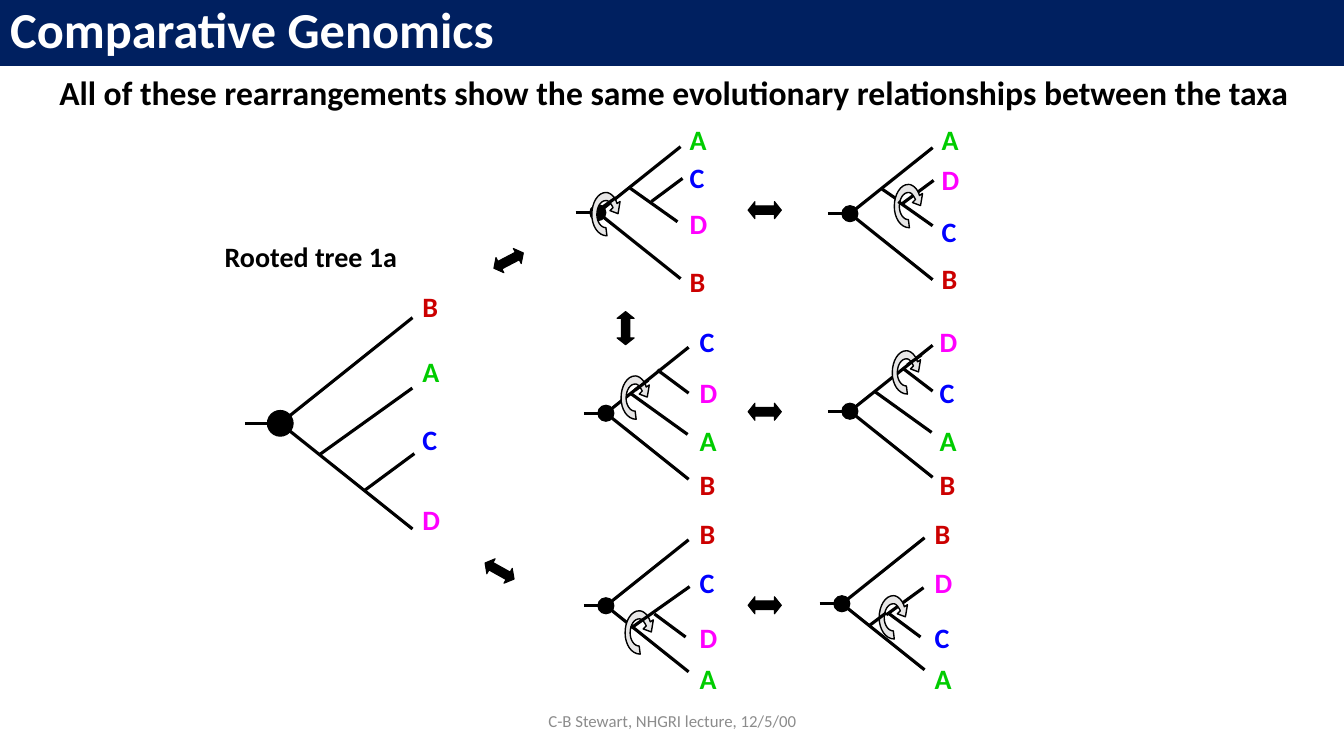
from dataclasses import dataclass

from lxml import etree
from pptx import Presentation
from pptx.dml.color import RGBColor
from pptx.enum import shapes, text
from pptx.oxml.ns import qn
from pptx.util import Inches, Pt

FONT = "Calibri"
BLACK = RGBColor(0x00, 0x00, 0x00)
WHITE = RGBColor(0xFF, 0xFF, 0xFF)
NAVY = RGBColor(0x00, 0x20, 0x60)
FOOTER_GRAY = RGBColor(0x8C, 0x8C, 0x8C)
ARROW_GRAY = RGBColor(0xE7, 0xE6, 0xE6)
TAXON_COLORS = {
    "A": RGBColor(0x00, 0xCC, 0x00),
    "B": RGBColor(0xCC, 0x00, 0x00),
    "C": RGBColor(0x00, 0x00, 0xFF),
    "D": RGBColor(0xFF, 0x00, 0xFF),
}

# Circular arrow around its centre: a pair is a line end, three pairs are a Bézier.
ROTATION_START = (0.07, -0.07)
ROTATION_PATH = [
    [(0.05, -0.11), (0.03, -0.14), (0, -0.14)],
    [(-0.05, -0.14), (-0.09, -0.08), (-0.09, 0)],
    [(-0.09, 0.07), (-0.05, 0.13), (0, 0.13)],
    [(0.01, 0.21)],
    [(-0.08, 0.21), (-0.14, 0.11), (-0.14, 0)],
    [(-0.14, -0.12), (-0.08, -0.22), (0, -0.22)],
    [(0.04, -0.22), (0.09, -0.18), (0.11, -0.11)],
    [(0.14, -0.13)],
    [(0.12, -0.01)],
    [(0.04, -0.04)],
]
CURVE_STEPS = 8


@dataclass
class Tree:
    root: tuple
    label_left: float
    label_tops: dict
    branches: list
    rotation: tuple = None
    front_branches: tuple = ()
    scale: float = 1


TREES = [
    Tree((2.78, 4.2), 4.09, {"B": 2.82, "A": 3.47, "C": 4.14, "D": 4.94},
         [(3.17, 4.51, 4.09, 3.85), (3.61, 4.87, 4.11, 4.5)], scale=1.6),
    Tree((6.01, 6.01), 6.84, {"B": 5.08, "C": 5.56, "D": 6.11, "A": 6.51},
         [], (6.34, 6.28),
         ((6.26, 6.23, 6.84, 5.82), (6.49, 6.09, 6.8, 6.32))),
    Tree((6.01, 4.1), 6.84, {"C": 3.17, "D": 3.68, "A": 4.15, "B": 4.59},
         [(6.25, 3.9, 6.82, 4.31), (6.52, 3.67, 6.83, 3.9)], (6.3, 3.95),
         ((6.3, 3.87, 6.43, 3.77),)),
    Tree((8.43, 4.08), 9.22, {"D": 3.17, "C": 3.68, "A": 4.15, "B": 4.59},
         [(8.67, 3.88, 9.24, 4.29), (8.95, 3.65, 9.25, 3.88)], (8.99, 3.7),
         ((9, 3.62, 9.14, 3.52),)),
    Tree((5.93, 2.11), 6.74, {"A": 1.17, "C": 1.54, "D": 2, "B": 2.57},
         [(6.24, 1.86, 6.72, 2.2), (6.46, 2, 6.77, 1.77)], (6.01, 2.13),
         ((5.97, 2.06, 6.11, 1.96),)),
    Tree((8.43, 2.12), 9.24, {"A": 1.17, "D": 1.56, "C": 2.08, "B": 2.55},
         [(8.95, 2.02, 9.26, 1.79), (8.74, 1.87, 8.9, 1.98)], (9.01, 2.05),
         ((8.91, 2, 9.25, 2.24),)),
    Tree((8.35, 5.99), 9.17, {"B": 5.08, "D": 5.56, "C": 6.11, "A": 6.51},
         [(8.79, 6.1, 9.16, 5.83), (8.82, 6.09, 9.13, 6.32)], (8.86, 6.13),
         ((8.63, 6.2, 8.79, 6.08),)),
]

# Left, top, rotation in degrees
DOUBLE_ARROWS = [
    (7.42, 2, 0), (7.42, 4, 0), (7.42, 5.92, 0),
    (4.79, 5.58, 29.1), (4.88, 2.5, 332.4), (6.04, 3.17, 270),
]


def format_shape(sp, fill=None, line=BLACK, width=0.75):
    sp.shadow.inherit = False
    if fill is None:
        sp.fill.background()
    else:
        sp.fill.solid()
        sp.fill.fore_color.rgb = fill
    sp.line.color.rgb = line
    sp.line.width = Pt(width)


def add_run(p, words, size, color, bold=True):
    r = p.add_run()
    r.text = words
    r.font.name = FONT
    r.font.size = Pt(size)
    r.font.bold = bold
    r.font.color.rgb = color


def add_text(parent, words, box, size, color=BLACK, bold=True, wrap=True,
             align=text.PP_ALIGN.LEFT, anchor=text.MSO_ANCHOR.TOP):
    tf = parent.add_textbox(*map(Inches, box)).text_frame
    tf.word_wrap = wrap
    tf.vertical_anchor = anchor
    p = tf.paragraphs[0]
    p.alignment = align
    add_run(p, words, size, color, bold)


def add_line(parent, x1, y1, x2, y2):
    line = parent.add_connector(shapes.MSO_CONNECTOR.STRAIGHT,
                                *map(Inches, (x1, y1, x2, y2)))
    line.line.color.rgb = BLACK
    line.line.width = Pt(2.25)
    etree.SubElement(line._element.spPr, qn("a:effectLst"))


def add_outline(parent, points, close):
    points = [(Inches(x), Inches(y)) for x, y in points]
    builder = parent.build_freeform(*points[0])
    builder.add_line_segments(points[1:], close=close)
    return builder.convert_to_shape()


def bezier(p0, p1, p2, p3):
    """Return points along a cubic curve, without its start."""
    steps = [i / CURVE_STEPS for i in range(1, CURVE_STEPS + 1)]
    return [tuple((1 - t) ** 3 * a + 3 * (1 - t) ** 2 * t * b
                  + 3 * (1 - t) * t ** 2 * c + t ** 3 * d
                  for a, b, c, d in zip(p0, p1, p2, p3)) for t in steps]


def add_rotation_arrow(parent, cx, cy):
    points = [ROTATION_START]
    for segment in ROTATION_PATH:
        points += bezier(points[-1], *segment) if len(segment) == 3 else segment
    sp = add_outline(parent, [(cx + x, cy + y) for x, y in points], True)
    format_shape(sp, ARROW_GRAY, width=1)


def add_tree(slide, tree):
    parent = slide.shapes.add_group_shape().shapes
    x, y = tree.root
    k = tree.scale
    tip_x, rise = x + 0.82 * k, 0.655 * k
    fork = add_outline(parent, [(tip_x, y - rise), (x, y), (tip_x, y + rise)], False)
    format_shape(fork, width=2.25)
    add_line(parent, x - 0.22 * k, y, x - 0.05 * k, y)
    dot = 0.16 * k
    sp = parent.add_shape(shapes.MSO_SHAPE.OVAL, Inches(x - dot / 2),
                          Inches(y - dot / 2), Inches(dot), Inches(dot))
    format_shape(sp, BLACK)
    for branch in tree.branches:
        add_line(parent, *branch)
    if tree.rotation:
        add_rotation_arrow(parent, *tree.rotation)
    for branch in tree.front_branches:
        add_line(parent, *branch)
    for taxon, top in tree.label_tops.items():
        add_text(parent, taxon, (tree.label_left, top, 0.38, 0.44), 20,
                 TAXON_COLORS[taxon], wrap=False)


def add_double_arrow(slide, left, top, angle):
    sp = slide.shapes.add_shape(shapes.MSO_SHAPE.LEFT_RIGHT_ARROW,
                                *map(Inches, (left, top, 0.33, 0.17)))
    sp.adjustments[0], sp.adjustments[1] = 0.5, 0.4
    sp.rotation = angle
    format_shape(sp, BLACK)


def set_title(slide, words):
    title = slide.shapes.title
    title.left, title.top, title.width, title.height = map(
        Inches, (0, 0, 13.33, 0.64))
    title.fill.solid()
    title.fill.fore_color.rgb = NAVY
    title.line.color.rgb = NAVY
    title.line.width = Pt(2.25)
    tf = title.text_frame
    tf.auto_size = text.MSO_AUTO_SIZE.NONE
    tf.vertical_anchor = text.MSO_ANCHOR.MIDDLE
    p = tf.paragraphs[0]
    p.alignment = text.PP_ALIGN.LEFT
    p.line_spacing = 0.9
    add_run(p, words, 36, WHITE)


def main():
    prs = Presentation()
    prs.slide_width, prs.slide_height = Inches(13.33), Inches(7.5)
    slide = prs.slides.add_slide(prs.slide_layouts[5])
    set_title(slide, "Comparative Genomics")
    add_text(slide.shapes, "All of these rearrangements show the same evolutionary "
             "relationships between the taxa", (0.39, 0.66, 12.59, 0.5), 24,
             align=text.PP_ALIGN.CENTER)
    add_text(slide.shapes, "Rooted tree 1a", (2.13, 2.33, 2.22, 0.43), 20)
    for tree in TREES:
        add_tree(slide, tree)
    for arrow in DOUBLE_ARROWS:
        add_double_arrow(slide, *arrow)
    add_text(slide.shapes, "C-B Stewart, NHGRI lecture, 12/5/00",
             (4.42, 6.95, 4.5, 0.4), 12, FOOTER_GRAY, bold=False,
             align=text.PP_ALIGN.CENTER, anchor=text.MSO_ANCHOR.MIDDLE)
    prs.save("out.pptx")


if __name__ == "__main__":
    main()
